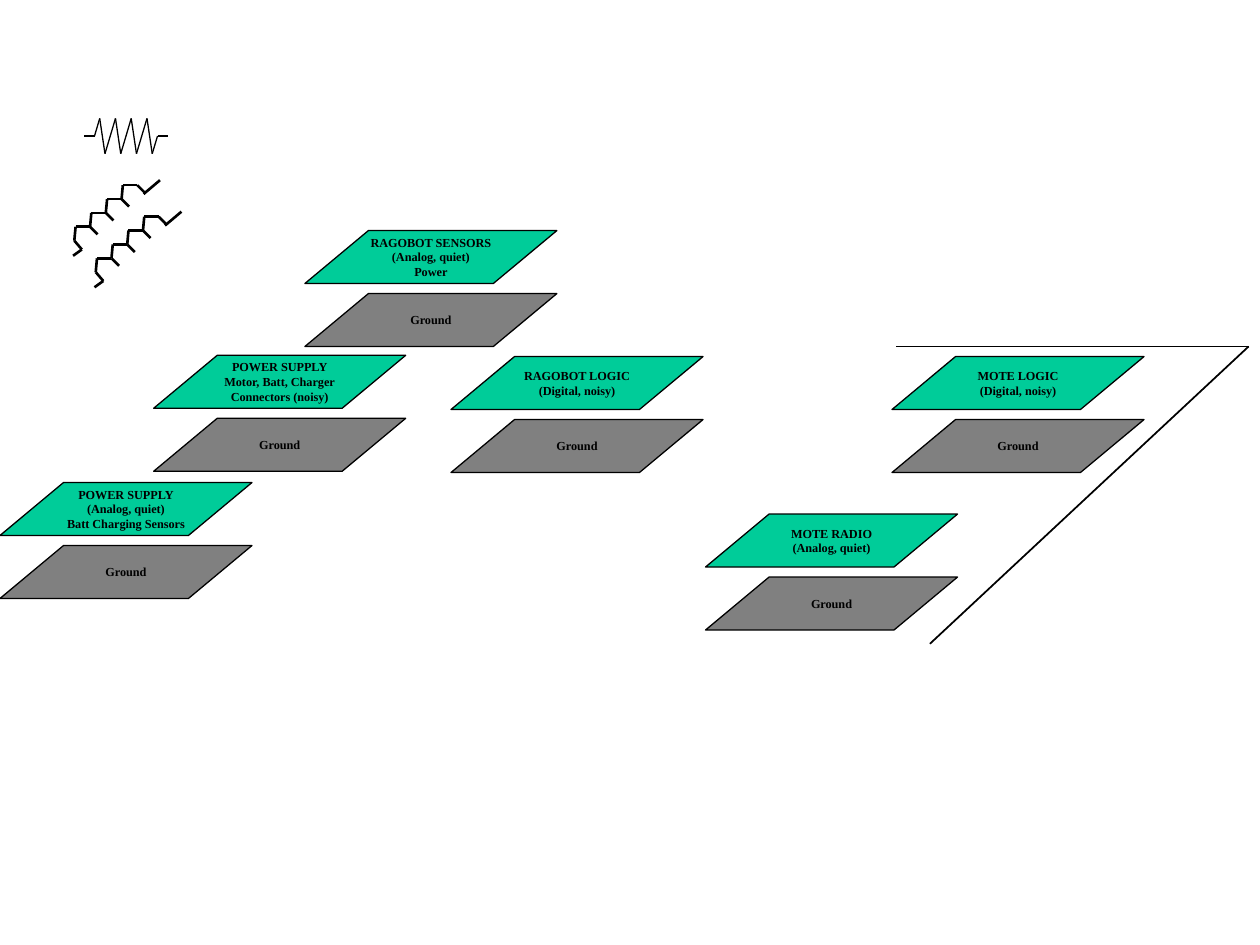
from itertools import pairwise

from lxml import etree
from pptx import Presentation
from pptx.dml.color import RGBColor
from pptx.enum import shapes, text
from pptx.oxml import ns
from pptx.util import Inches, Pt

GREEN, GRAY, BLACK = "00CC99", "808080", "000000"
PLANE_W, PLANE_H, PLANE_STEP = 2, 0.42, 0.5
PLANES = [
    (1.22, 2.82, ["POWER SUPPLY", "Motor, Batt, Charger", "Connectors (noisy)"]),
    (0, 3.83, ["POWER SUPPLY", "(Analog, quiet)", "Batt Charging Sensors"]),
    (2.42, 1.83, ["RAGOBOT SENSORS", "(Analog, quiet)", "Power"]),
    (3.58, 2.83, ["RAGOBOT LOGIC", "(Digital, noisy)"]),
    (7.08, 2.83, ["MOTE LOGIC", "(Digital, noisy)"]),
    (5.6, 4.08, ["MOTE RADIO", "(Analog, quiet)"]),
]


def color(value):
    return RGBColor.from_string(value)


def add_plane(parent, left, top, fill, lines):
    sp = parent.add_shape(shapes.MSO_SHAPE.PARALLELOGRAM, Inches(left), Inches(top),
                          Inches(PLANE_W), Inches(PLANE_H))
    sp.adjustments[0] = 1.2
    sp.shadow.inherit = False
    sp.fill.solid()
    sp.fill.fore_color.rgb = color(fill)
    sp.line.color.rgb = color(BLACK)
    sp.line.width = Pt(0.75)
    tf = sp.text_frame
    tf.word_wrap = False
    tf.vertical_anchor = text.MSO_ANCHOR.MIDDLE
    for i, line in enumerate(lines):
        p = tf.paragraphs[0] if i == 0 else tf.add_paragraph()
        p.alignment = text.PP_ALIGN.CENTER
        r = p.add_run()
        r.text = line
        for name, value in {"name": "Times New Roman", "size": Pt(7), "bold": True}.items():
            setattr(r.font, name, value)
        r.font.color.rgb = color(BLACK)


def add_plane_pair(parent, left, top, lines):
    """Power or logic plane with its ground plane below."""
    add_plane(parent, left, top, GREEN, lines)
    add_plane(parent, left, top + PLANE_STEP, GRAY, ["Ground"])


def add_path(parent, left, top, points, width):
    """Join points, given relative to left and top, with straight lines."""
    for (x1, y1), (x2, y2) in pairwise(points):
        line = parent.add_connector(
            shapes.MSO_CONNECTOR.STRAIGHT, Inches(left + x1), Inches(top + y1),
            Inches(left + x2), Inches(top + y2))
        line.line.color.rgb = color(BLACK)
        line.line.width = Pt(width)
        etree.SubElement(line._element.spPr, ns.qn("a:effectLst"))


def add_resistor(parent, left, top):
    lead, tooth, swing = 0.08, 0.125, 0.14
    points = [(0, 0), (lead, 0)]
    for i in range(4):
        x = lead + i * tooth
        points += [(x + tooth / 3, -swing), (x + 2 * tooth / 3, swing), (x + tooth, 0)]
    points.append((2 * lead + 4 * tooth, 0))
    add_path(parent, left, top, points, 0.75)


def add_coil(parent, left, top):
    """Slanted coil; left and top mark the start of its first turn."""
    group = parent.add_group_shape().shapes
    add_path(group, left, top, [(0, 0), (0.06, 0.07), (-0.01, 0.12)], 1.5)
    dx, dy = 0.125, -0.11
    for i in range(4):
        turn = [(0, 0), (0.01, dy), (dx, dy), (dx + 0.06, dy + 0.06)]
        add_path(group, left + i * dx, top + i * dy, turn, 1.5)
    add_path(group, left + 4 * dx, top + 4 * dy, [(0.05, 0.07), (0.18, -0.04)], 1.5)


def main():
    prs = Presentation()
    prs.slide_width, prs.slide_height = Inches(10), Inches(7.5)
    parent = prs.slides.add_slide(prs.slide_layouts[6]).shapes
    for left, top, lines in PLANES:
        add_plane_pair(parent, left, top, lines)
    add_path(parent, 7.11, 2.75, [(0.27, 2.36), (2.8, 0), (0, 0)], 1)
    add_resistor(parent, 0.67, 1.08)
    for left, top in [(0.76, 2.16), (0.59, 1.91)]:
        add_coil(parent, left, top)
    prs.save("out.pptx")


if __name__ == "__main__":
    main()
